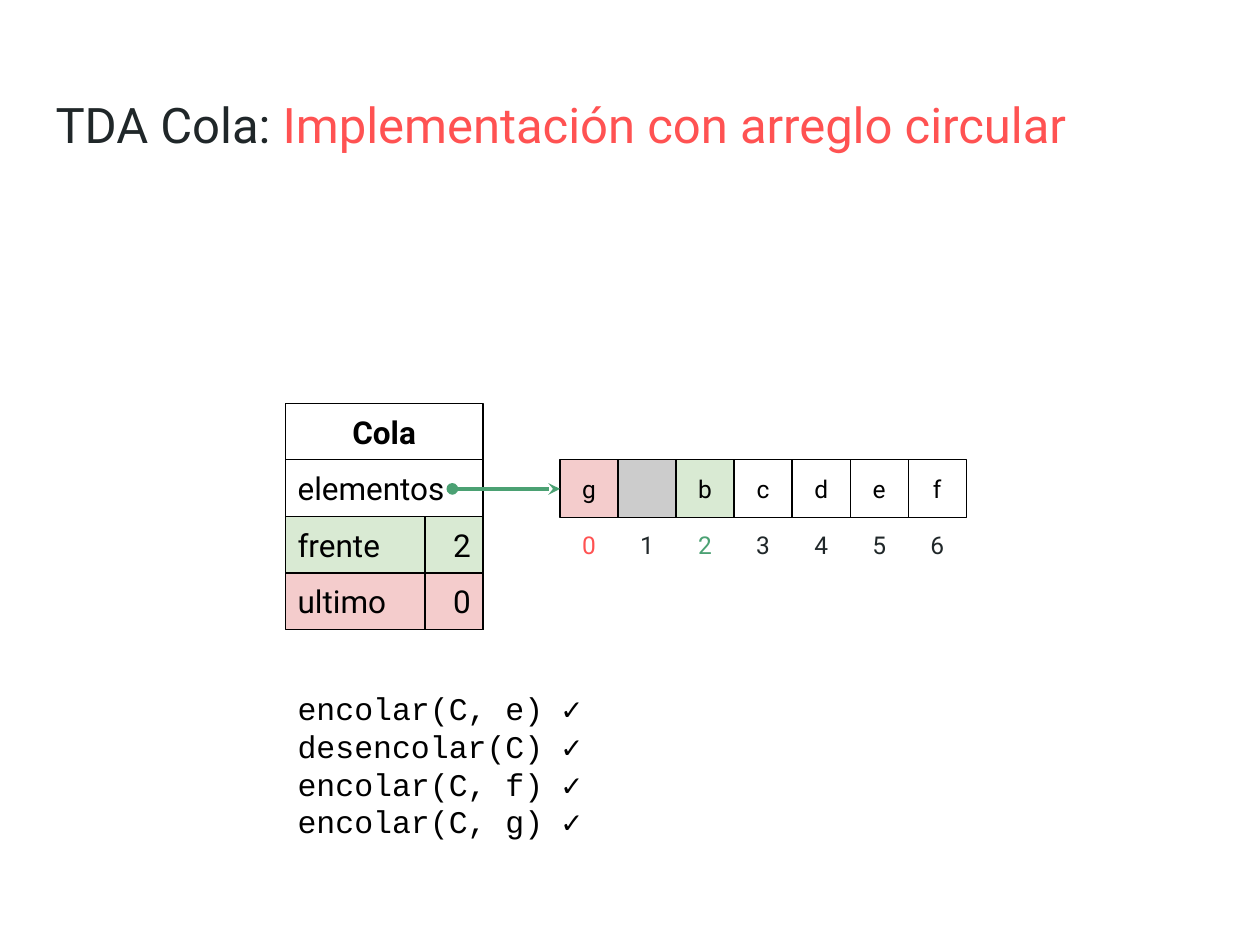
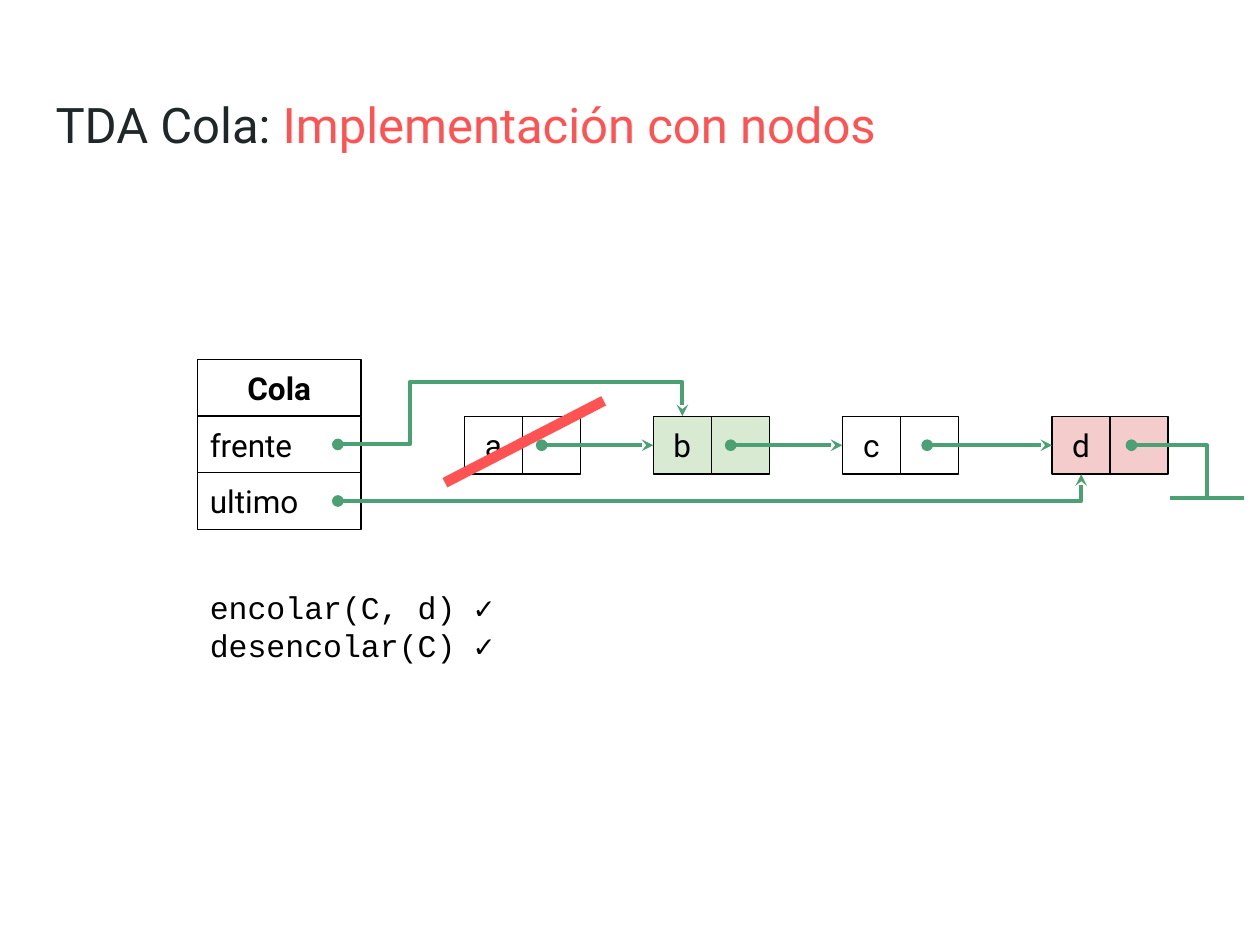
from dataclasses import dataclass

from lxml.etree import SubElement
from pptx import Presentation
from pptx.dml.color import RGBColor
from pptx.enum.shapes import MSO_CONNECTOR, MSO_SHAPE
from pptx.enum.text import MSO_ANCHOR, MSO_AUTO_SIZE, PP_ALIGN
from pptx.oxml.ns import qn
from pptx.util import Cm, Pt


@dataclass(frozen=True)
class Theme:
    ink: str = "202729"
    black: str = "000000"
    red: str = "FF5252"
    green: str = "4BA173"
    front: str = "D9EAD3"
    last: str = "F4CCCC"
    empty: str = "CCCCCC"
    font: str = "Roboto"
    mono: str = "Courier New"
    title: int = 28
    body: int = 18
    small: int = 14
    border: float = 0.75
    arrow: float = 2.25
    strike: float = 6


T = Theme()
LEFT, CENTER, RIGHT = PP_ALIGN.LEFT, PP_ALIGN.CENTER, PP_ALIGN.RIGHT

# Content: lengths in centimetres
TITLE_PREFIX = "TDA Cola: "
ARRAY_TITLE = "Implementación con arreglo circular"
NODES_TITLE = "Implementación con nodos"

# Queue fields: name, value, fill
ARRAY_FIELDS = [("elementos", None, None), ("frente", "2", T.front), ("ultimo", "0", T.last)]
NODES_FIELDS = [("frente", None, None), ("ultimo", None, None)]

# Array cells: element, fill, index colour
ARRAY_CELLS = [
    ("g", T.last, T.red), ("", T.empty, T.ink), ("b", T.front, T.green),
    ("c", None, T.ink), ("d", None, T.ink), ("e", None, T.ink), ("f", None, T.ink),
]
ARRAY_CALLS = ["encolar(C, e) ✓", "desencolar(C) ✓", "encolar(C, f) ✓", "encolar(C, g) ✓"]
NODES_CALLS = ["encolar(C, d) ✓", "desencolar(C) ✓"]

# Linked nodes: element, left, fill, offset of the pointer's dot
NODES = [
    ("a", 9.36, None, 1.56), ("b", 13.17, T.front, 1.56),
    ("c", 16.98, None, 1.71), ("d", 21.21, T.last, 1.6),
]

CELL = 1.17
ROW = 1.14
PAD = 0.25


# Drawing helpers
def set_frame(tf, anchor):
    tf.word_wrap = True
    tf.auto_size = MSO_AUTO_SIZE.NONE
    tf.vertical_anchor = anchor
    tf.margin_left = tf.margin_right = tf.margin_top = tf.margin_bottom = Cm(PAD)


def style_run(r, size, color, font=T.font, bold=False):
    r.font.name = font
    r.font.size = Pt(size)
    r.font.bold = bold
    r.font.color.rgb = RGBColor.from_string(color)


def write(sp, text, size, color=T.black, align=LEFT, anchor=MSO_ANCHOR.MIDDLE,
          font=T.font, bold=False):
    tf = sp.text_frame
    set_frame(tf, anchor)
    tf.text = text
    for p in tf.paragraphs:
        p.alignment = align
        for r in p.runs:
            style_run(r, size, color, font, bold)


def add_box(s, x, y, w, h, fill=None, text="", size=T.body, align=CENTER, bold=False):
    sp = s.shapes.add_shape(MSO_SHAPE.RECTANGLE, Cm(x), Cm(y), Cm(w), Cm(h))
    sp.shadow.inherit = False
    if fill:
        sp.fill.solid()
        sp.fill.fore_color.rgb = RGBColor.from_string(fill)
    else:
        sp.fill.background()
    style_line(sp, T.black, T.border)
    if text:
        write(sp, text, size, align=align, bold=bold)
    return sp


def add_text(s, x, y, w, h, text, size, **style):
    sp = s.shapes.add_textbox(Cm(x), Cm(y), Cm(w), Cm(h))
    write(sp, text, size, anchor=MSO_ANCHOR.TOP, **style)


def style_line(sp, color, width, start=None, end=None):
    sp.line.color.rgb = RGBColor.from_string(color)
    sp.line.width = Pt(width)
    ln = sp.line._get_or_add_ln()
    for tag, kind in (("a:headEnd", start), ("a:tailEnd", end)):
        if kind:
            SubElement(ln, qn(tag), type=kind)


def add_line(s, x1, y1, x2, y2, color=T.green, width=T.arrow, start=None, end=None):
    cx = s.shapes.add_connector(MSO_CONNECTOR.STRAIGHT, Cm(x1), Cm(y1), Cm(x2), Cm(y2))
    style_line(cx, color, width, start, end)
    SubElement(cx._element.spPr, qn("a:effectLst"))
    return cx


def add_pointer(s, x, y, target):
    """Straight arrow from a dot to the left side of the target box."""
    cx = add_line(s, x, y, x + 1, y, start="oval", end="stealth")
    cx.end_connect(target, 1)


def add_route(s, points, end=None):
    """Right-angled line that starts with a dot."""
    first, *rest = [(Cm(x), Cm(y)) for x, y in points]
    fb = s.shapes.build_freeform(*first, scale=1.0)
    fb.add_line_segments(rest, close=False)
    sp = fb.convert_to_shape()
    sp.shadow.inherit = False
    sp.fill.background()
    style_line(sp, T.green, T.arrow, "oval", end)


# Parts that both slides share
def add_slide(prs, topic):
    s = prs.slides.add_slide(prs.slide_layouts[5])
    sp = s.shapes.title
    sp.left, sp.top, sp.width, sp.height = Cm(0.87), Cm(1.65), Cm(23.67), Cm(2.12)
    write(sp, TITLE_PREFIX, T.title, T.ink, anchor=MSO_ANCHOR.TOP)
    r = sp.text_frame.paragraphs[0].add_run()
    r.text = topic
    style_run(r, T.title, T.red)
    return s


def add_queue(s, x, y, w, fields):
    add_box(s, x, y, w, ROW, text="Cola", bold=True)
    for i, (name, value, fill) in enumerate(fields, 1):
        top = y + i * ROW
        add_box(s, x, top, w, ROW, fill, name, align=LEFT)
        if value:
            add_box(s, x + w - CELL, top, CELL, ROW, fill, value, align=RIGHT)


def add_calls(s, x, y, w, h, calls):
    add_text(s, x, y, w, h, "\n".join(calls), T.body, font=T.mono)


# Slides
def array_slide(prs):
    s = add_slide(prs, ARRAY_TITLE)
    x, y, array_x = 5.75, 8.13, 11.29
    top = y + ROW
    add_queue(s, x, y, 3.99, ARRAY_FIELDS)
    cells = []
    for i, (element, fill, color) in enumerate(ARRAY_CELLS):
        left = array_x + i * CELL
        cells.append(add_box(s, left, top, CELL, CELL, fill, element, T.small))
        add_text(s, left, top + CELL, CELL, 1.04, str(i), T.small, color=color, align=CENTER)
    add_pointer(s, 9.12, top + CELL / 2, cells[0])
    add_calls(s, x, 13.64, 6.3, 3.81, ARRAY_CALLS)


def nodes_slide(prs):
    s = add_slide(prs, NODES_TITLE)
    x, y = 3.98, 7.25
    top = y + ROW
    middle = top + CELL / 2
    add_queue(s, x, y, 3.3, NODES_FIELDS)
    add_calls(s, x, 11.61, 7.19, 2.11, NODES_CALLS)

    # Nodes and the pointers between them
    boxes, dots, centers = [], [], {}
    for element, left, fill, offset in NODES:
        boxes.append(add_box(s, left, top, CELL, CELL, fill, element))
        add_box(s, left + CELL, top, CELL, CELL, fill)
        dots.append(left + offset)
        centers[element] = left + CELL / 2
    for dot, target in zip(dots, boxes[1:]):
        add_pointer(s, dot, middle, target)

    # Pointers of the queue to its front and last node
    dot, turn, above = 6.81, 8.26, 7.7
    front_y, last_y = top + ROW / 2, top + 1.5 * ROW
    add_route(s, [(dot, front_y), (turn, front_y), (turn, above),
                  (centers["b"], above), (centers["b"], top)], "stealth")
    add_route(s, [(dot, last_y), (centers["d"], last_y), (centers["d"], top + CELL)], "stealth")

    # Null end of the list
    ground_x, ground_y, half = 24.33, 10.03, 0.74
    add_route(s, [(dots[-1], middle), (ground_x, middle), (ground_x, ground_y)])
    add_line(s, ground_x - half, ground_y, ground_x + half, ground_y)

    # Removed node
    add_line(s, 8.97, 9.73, 12.17, 8.08, T.red, T.strike)


def main():
    prs = Presentation()
    prs.slide_width, prs.slide_height = Cm(25.4), Cm(19.05)
    array_slide(prs)
    nodes_slide(prs)
    prs.save("out.pptx")


if __name__ == "__main__":
    main()
